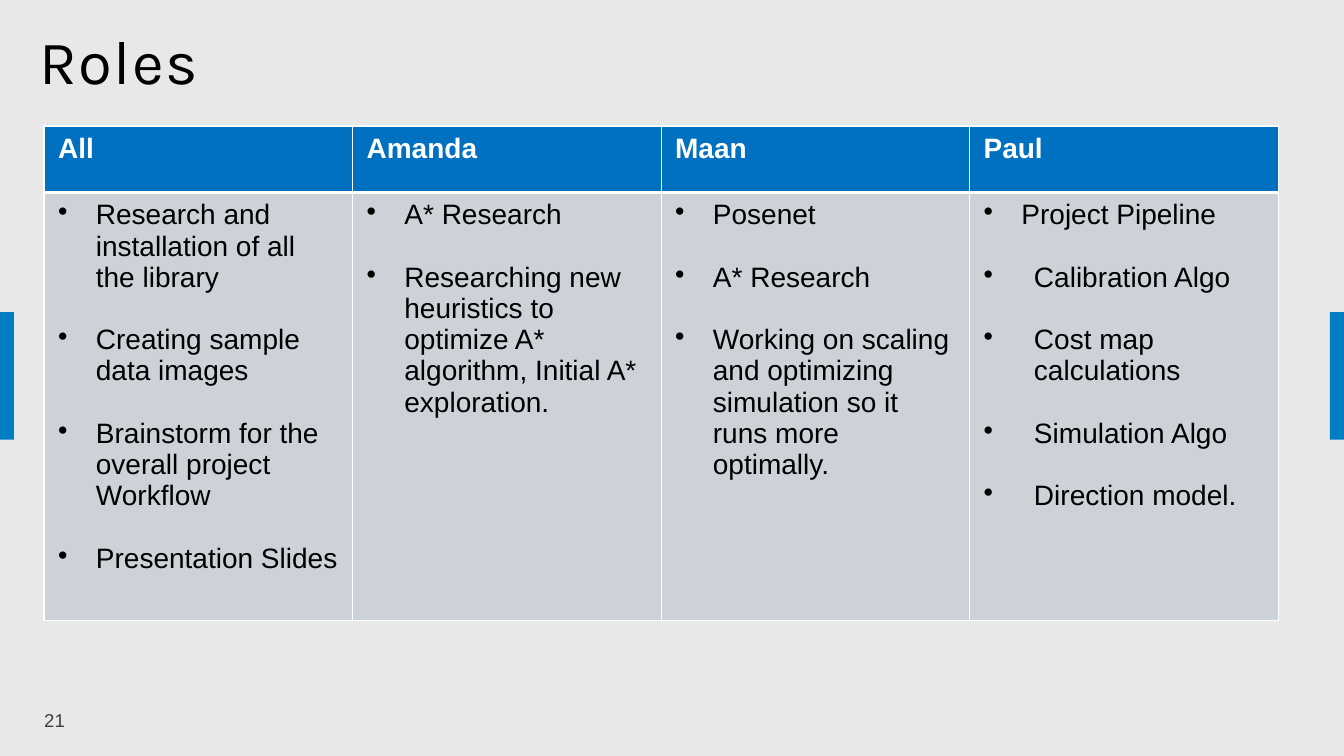
import pptx
import pptx.dml.color
import pptx.enum.shapes
import pptx.enum.text
import pptx.oxml
import pptx.util
from pptx.oxml.ns import qn

Pt = pptx.util.Pt
WIDTH, HEIGHT = 960, 540
LINE_HEIGHT = 22.3
ROLES = [
    ("All", [27] * 4, [
        "Research and installation of all the library",
        "Creating sample data images",
        "Brainstorm for the overall project Workflow",
        "Presentation Slides",
    ]),
    ("Amanda", [27] * 2, [
        "A* Research",
        "Researching new heuristics to optimize A* algorithm, Initial A* exploration.",
    ]),
    ("Maan", [27] * 3, [
        "Posenet",
        "A* Research",
        "Working on scaling and optimizing simulation so it runs more optimally.",
    ]),
    ("Paul", [27] + [36] * 4, [
        "Project Pipeline",
        "Calibration Algo",
        "Cost map calculations",
        "Simulation Algo",
        "Direction model.",
    ]),
]


def color(value):
    return pptx.dml.color.RGBColor.from_string(value)


def add_run(paragraph, text, size, value, font="Arial", bold=False):
    run = paragraph.add_run()
    run.text = text
    run.font.size = Pt(size)
    run.font.name = font
    run.font.bold = bold
    run.font.color.rgb = color(value)
    return run


def set_bullet(paragraph, indent):
    properties = paragraph._p.get_or_add_pPr()
    properties.set("marL", str(Pt(indent)))
    properties.set("indent", str(Pt(-indent)))
    bullet = pptx.oxml.xmlchemy.OxmlElement("a:buChar")
    bullet.set("char", "•")
    properties.append(bullet)


def set_borders(cell, widths):
    properties = cell._tc.get_or_add_tcPr()
    for position, (side, width) in enumerate(zip(("lnL", "lnR", "lnT", "lnB"), widths)):
        line = pptx.oxml.xmlchemy.OxmlElement("a:" + side)
        line.set("w", str(Pt(width)))
        fill = pptx.oxml.xmlchemy.OxmlElement("a:solidFill")
        shade = pptx.oxml.xmlchemy.OxmlElement("a:srgbClr")
        shade.set("val", "FFFFFF")
        fill.append(shade)
        line.append(fill)
        properties.insert(position, line)


def format_cell(cell, fill, borders):
    cell.fill.solid()
    cell.fill.fore_color.rgb = color(fill)
    cell.margin_left = cell.margin_right = Pt(10)
    cell.margin_top = cell.margin_bottom = Pt(5)
    set_borders(cell, borders)


def add_side_bars(slide, left, top, width, height):
    bar_width = 10
    for bar_left in (left, left + width - bar_width):
        bar = slide.shapes.add_shape(
            pptx.enum.shapes.MSO_SHAPE.RECTANGLE,
            Pt(bar_left), Pt(top), Pt(bar_width), Pt(height))
        bar.shadow.inherit = False
        bar.fill.solid()
        bar.fill.fore_color.rgb = color("007CC3")
        bar.line.fill.background()


def add_title(slide, left, top, width, height):
    title = slide.shapes.title
    title.left, title.top, title.width, title.height = map(Pt, (left, top, width, height))
    frame = title.text_frame
    frame.word_wrap = True
    frame.auto_size = pptx.enum.text.MSO_AUTO_SIZE.NONE
    frame.vertical_anchor = pptx.enum.text.MSO_ANCHOR.MIDDLE
    paragraph = frame.paragraphs[0]
    paragraph.alignment = pptx.enum.text.PP_ALIGN.LEFT
    paragraph.line_spacing = 0.9
    run = add_run(paragraph, "Roles", 44, "000000", "Karla")
    run._r.get_or_add_rPr().set("spc", "100")


def add_page_number(slide, left, top, width, height):
    box = slide.shapes.add_textbox(Pt(left), Pt(top), Pt(width), Pt(height))
    frame = box.text_frame
    frame.word_wrap = True
    frame.vertical_anchor = pptx.enum.text.MSO_ANCHOR.MIDDLE
    add_run(frame.paragraphs[0], "21", 13.3, "404040")


def add_roles_table(slide, left, top, width, height):
    header_height = 47.5
    table = slide.shapes.add_table(
        2, len(ROLES), Pt(left), Pt(top), Pt(width), Pt(height)).table
    table.rows[0].height = Pt(header_height)
    table.rows[1].height = Pt(height - header_height)
    for column, (name, indents, tasks) in enumerate(ROLES):
        table.columns[column].width = Pt(width / len(ROLES))
        header, body = table.cell(0, column), table.cell(1, column)
        format_cell(header, "0070C0", (1, 1, 1, 3))
        format_cell(body, "CCD2D8", (1, 1, 3, 1))
        add_run(header.text_frame.paragraphs[0], name, 20, "FFFFFF", bold=True)
        frame = body.text_frame
        for index, (task, indent) in enumerate(zip(tasks, indents)):
            paragraph = frame.add_paragraph() if index else frame.paragraphs[0]
            if index:
                paragraph.space_before = Pt(LINE_HEIGHT)
            set_bullet(paragraph, indent)
            add_run(paragraph, task, 20, "000000")


def build_roles_slide(presentation):
    slide = presentation.slides.add_slide(presentation.slide_layouts[5])
    slide.background.fill.solid()
    slide.background.fill.fore_color.rgb = color("E8E8E8")
    add_side_bars(slide, 0, 223, WIDTH, 91)
    add_title(slide, 21, 22, 835, 48)
    add_page_number(slide, 24.5, 499, 49, 30)
    add_roles_table(slide, 31.5, 90, 881.5, 353.5)


def main():
    presentation = pptx.Presentation()
    presentation.slide_width, presentation.slide_height = Pt(WIDTH), Pt(HEIGHT)
    build_roles_slide(presentation)
    presentation.save("out.pptx")


if __name__ == "__main__":
    main()
